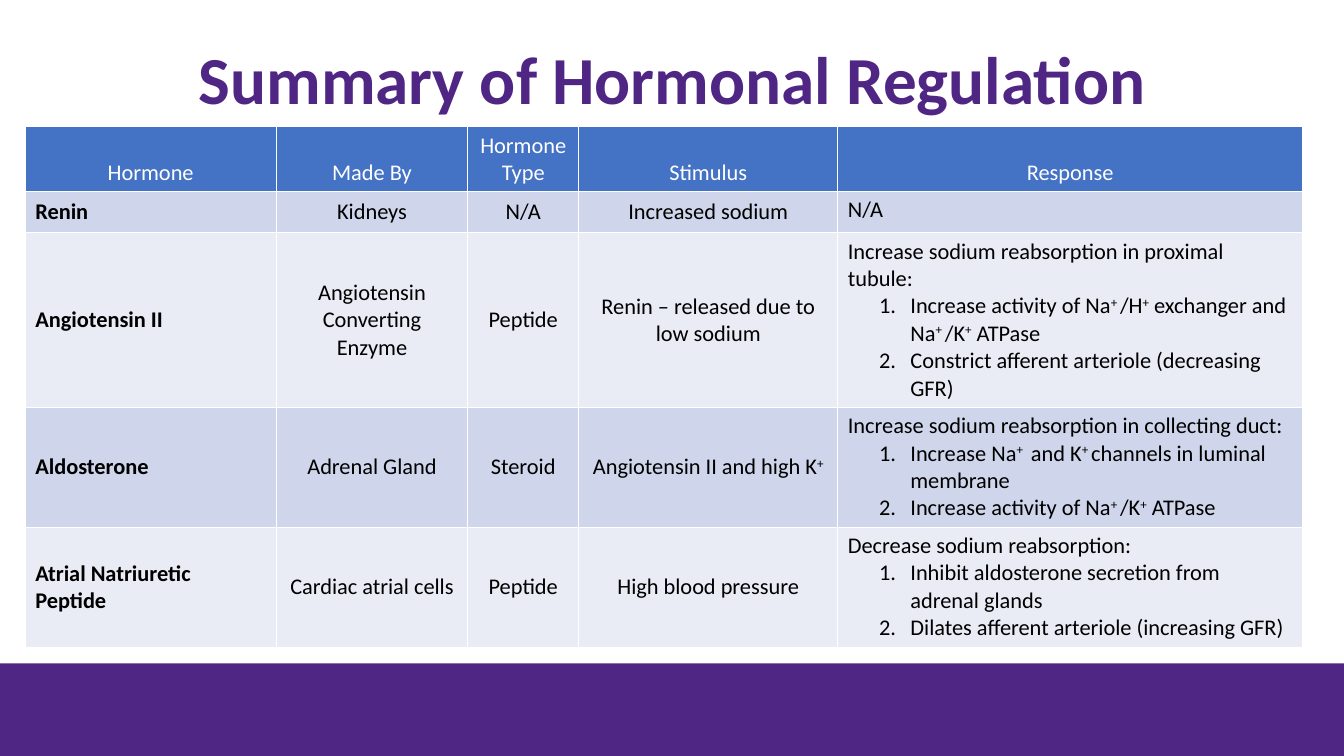
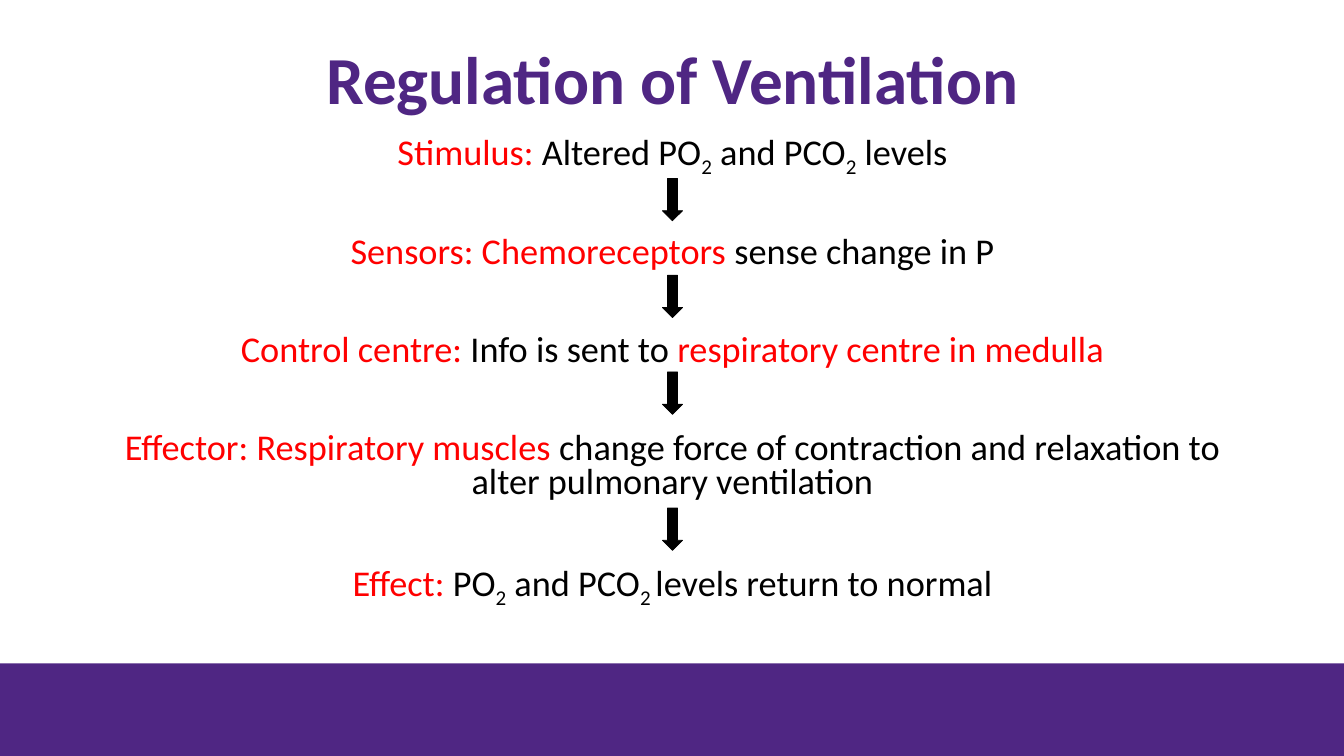
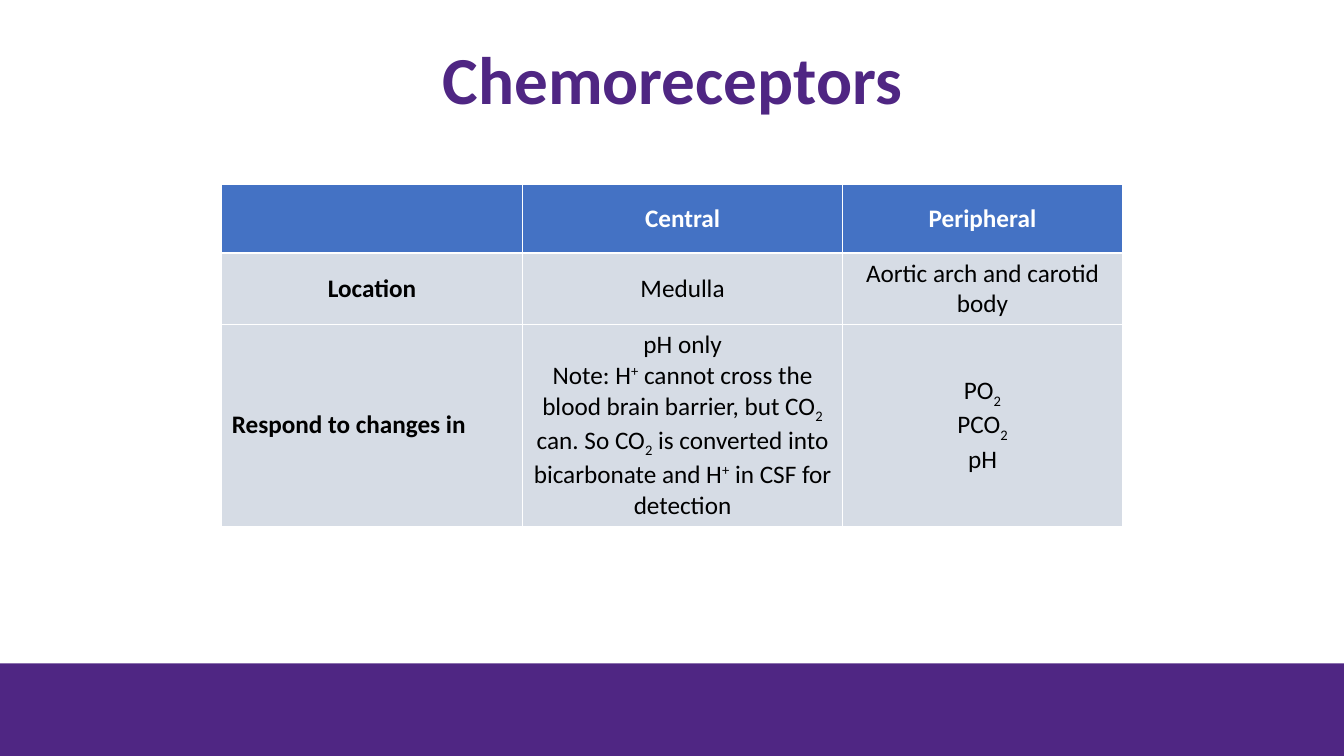
from itertools import groupby

from lxml.etree import SubElement
from pptx import Presentation
from pptx.dml.color import RGBColor
from pptx.enum.shapes import MSO_SHAPE as Shape
from pptx.enum.text import MSO_ANCHOR as Anchor, MSO_AUTO_SIZE as AutoSize, PP_ALIGN as Align
from pptx.oxml import parse_xml
from pptx.oxml.ns import nsdecls, qn
from pptx.util import Inches, Pt

FONT = "Calibri"
PURPLE, BLUE, RED = "4F2683", "4472C4", "FF0000"
BLACK, WHITE = "000000", "FFFFFF"
PALE_BLUE, PALER_BLUE, PALE_GREY = "CFD5EA", "E9EBF5", "D6DCE5"
SLIDE_WIDTH, SLIDE_HEIGHT, BAND_TOP = 13.33, 7.5, 6.58
BASELINES = {"^": "30000", "_": "-25000"}
RED_MARK = "*"
NUMBER_MARK = "# "

HORMONES = [
    ["Hormone", "Made By", "Hormone Type", "Stimulus", "Response"],
    ["Renin", "Kidneys", "N/A", "Increased sodium", "N/A"],
    ["Angiotensin II", "Angiotensin Converting Enzyme", "Peptide",
     "Renin – released due to low sodium",
     "Increase sodium reabsorption in proximal tubule:\n"
     "# Increase activity of Na^+ ^/H^+^ exchanger and Na^+ ^/K^+^ ATPase\n"
     "# Constrict afferent arteriole (decreasing GFR)"],
    ["Aldosterone", "Adrenal Gland", "Steroid", "Angiotensin II and high K^+^",
     "Increase sodium reabsorption in collecting duct:\n"
     "# Increase Na^+ ^ and K^+ ^channels in luminal membrane\n"
     "# Increase activity of Na^+ ^/K^+^ ATPase"],
    ["Atrial Natriuretic Peptide", "Cardiac atrial cells", "Peptide", "High blood pressure",
     "Decrease sodium reabsorption:\n"
     "# Inhibit aldosterone secretion from adrenal glands\n"
     "# Dilates afferent arteriole (increasing GFR)"],
]
VENTILATION_STEPS = [
    "*Stimulus:* Altered PO_2_ and PCO_2_ levels",
    "*Sensors: Chemoreceptors* sense change in P",
    "*Control centre: *Info is sent to *respiratory centre in medulla*",
    "*Effector: Respiratory muscles *change force of contraction and relaxation to "
    "alter pulmonary ventilation",
    "*Effect:* PO_2_ and PCO_2 _levels return to normal",
]
ARROW_TOPS = [1.77, 2.73, 3.69, 5.04]
CHEMORECEPTORS = [
    ["", "Central", "Peripheral"],
    ["Location", "Medulla", "Aortic arch and carotid body"],
    ["Respond to changes in",
     "pH only\nNote: H^+^ cannot cross the blood brain barrier, but CO_2_ can. "
     "So CO_2_ is converted into bicarbonate and H^+^ in CSF for detection",
     "PO_2_\nPCO_2_\npH"],
]


def rgb(color):
    return RGBColor.from_string(color)


def set_attributes(target, values):
    for name, value in values.items():
        setattr(target, name, value)


def write_text(paragraph, text, size, color=BLACK, bold=False):
    active = set()
    for is_mark, group in groupby(text, lambda letter: letter in "^_*"):
        letters = "".join(group)
        if is_mark:
            active ^= set(letters)
            continue
        run = paragraph.add_run()
        run.text = letters
        set_attributes(run.font, {"name": FONT, "size": Pt(size), "bold": bold})
        run.font.color.rgb = rgb(RED if RED_MARK in active else color)
        for mark in active & set(BASELINES):
            run.font._element.set("baseline", BASELINES[mark])


def add_number(paragraph):
    properties = paragraph._p.get_or_add_pPr()
    properties.set("marL", str(Inches(0.62)))
    properties.set("indent", str(-Inches(0.31)))
    SubElement(properties, qn("a:buFont"), typeface="+mj-lt")
    SubElement(properties, qn("a:buAutoNum"), type="arabicPeriod")


def add_filled_shape(slide, kind, left, top, width, height, color, outlined=False):
    shape = slide.shapes.add_shape(
        kind, Inches(left), Inches(top), Inches(width), Inches(height))
    shape.shadow.inherit = False
    shape.fill.solid()
    shape.fill.fore_color.rgb = rgb(color)
    if outlined:
        shape.line.color.rgb = rgb(color)
        shape.line.width = Pt(0.5)
    else:
        shape.line.fill.background()


def add_titled_slide(presentation, text):
    slide = presentation.slides.add_slide(presentation.slide_layouts[5])
    title = slide.shapes.title
    set_attributes(title, {"left": Inches(0.92), "top": Inches(0.22),
                           "width": Inches(11.5), "height": Inches(1.2)})
    set_attributes(title.text_frame, {"auto_size": AutoSize.NONE, "word_wrap": True,
                                      "vertical_anchor": Anchor.MIDDLE})
    paragraph = title.text_frame.paragraphs[0]
    set_attributes(paragraph, {"alignment": Align.CENTER, "line_spacing": 0.9})
    write_text(paragraph, text, 48, PURPLE, True)
    add_filled_shape(slide, Shape.RECTANGLE, 0, BAND_TOP,
                     SLIDE_WIDTH, SLIDE_HEIGHT - BAND_TOP, PURPLE)
    return slide


def add_cell_borders(cell):
    properties = cell._tc.get_or_add_tcPr()
    for index, side in enumerate(("lnL", "lnR", "lnT", "lnB")):
        properties.insert(index, parse_xml(
            f'<a:{side} {nsdecls("a")} w="{Pt(1)}"><a:solidFill>'
            f'<a:srgbClr val="{WHITE}"/></a:solidFill></a:{side}>'))


def fill_cell(cell, text, fill, anchor, alignment, size, color, bold):
    cell.fill.solid()
    cell.fill.fore_color.rgb = rgb(fill)
    cell.vertical_anchor = anchor
    add_cell_borders(cell)
    frame = cell.text_frame
    for index, line in enumerate(text.split("\n")):
        paragraph = frame.add_paragraph() if index else frame.paragraphs[0]
        paragraph.alignment = alignment
        if line.startswith(NUMBER_MARK):
            add_number(paragraph)
        write_text(paragraph, line.removeprefix(NUMBER_MARK), size, color, bold)


def add_grid(slide, rows, left, top, widths, heights, style_cell):
    table = slide.shapes.add_table(
        len(rows), len(widths), Inches(left), Inches(top),
        Inches(sum(widths)), Inches(sum(heights))).table
    for column, width in zip(table.columns, widths):
        column.width = Inches(width)
    for row, height in zip(table.rows, heights):
        row.height = Inches(height)
    for row_index, texts in enumerate(rows):
        for column_index, text in enumerate(texts):
            fill_cell(table.cell(row_index, column_index), text,
                      **style_cell(row_index, column_index))


def style_hormone_cell(row, column):
    style = {"fill": PALE_BLUE if row % 2 else PALER_BLUE, "anchor": Anchor.MIDDLE,
             "alignment": Align.CENTER, "size": 16, "color": BLACK, "bold": False}
    if row == 0:
        style.update(fill=BLUE, anchor=Anchor.BOTTOM, color=WHITE)
    elif column == 0:
        style.update(alignment=Align.LEFT, bold=True)
    elif column == 4:
        style.update(alignment=Align.LEFT, anchor=Anchor.TOP)
    return style


def style_chemoreceptor_cell(row, column):
    return {"fill": PALE_GREY if row else BLUE, "anchor": Anchor.MIDDLE,
            "alignment": Align.LEFT if (row, column) == (2, 0) else Align.CENTER,
            "size": 18, "color": BLACK if row else WHITE,
            "bold": row == 0 or column == 0}


def add_steps(slide, steps):
    box = slide.shapes.add_textbox(Inches(0.92), Inches(1.28), Inches(11.5), Inches(4.83))
    frame = box.text_frame
    frame.word_wrap = True
    for index, step in enumerate(steps):
        paragraph = frame.add_paragraph() if index else frame.paragraphs[0]
        set_attributes(paragraph, {"alignment": Align.CENTER, "line_spacing": 0.8,
                                   "space_before": Pt(45 if index else 0)})
        write_text(paragraph, step, 25.9)


def main():
    presentation = Presentation()
    set_attributes(presentation, {"slide_width": Inches(SLIDE_WIDTH),
                                  "slide_height": Inches(SLIDE_HEIGHT)})

    slide = add_titled_slide(presentation, "Summary of Hormonal Regulation")
    add_grid(slide, HORMONES, 0.25, 1.25, [2.49, 1.9, 1.1, 2.57, 4.61],
             [0.65, 0.41, 1.73, 1.19, 1.19], style_hormone_cell)

    slide = add_titled_slide(presentation, "Regulation of Ventilation")
    add_steps(slide, VENTILATION_STEPS)
    for top in ARROW_TOPS:
        add_filled_shape(slide, Shape.DOWN_ARROW, 6.57, top, 0.2, 0.42, BLACK, True)

    slide = add_titled_slide(presentation, "Chemoreceptors")
    add_grid(slide, CHEMORECEPTORS, 2.2, 1.83, [2.98, 3.18, 2.77],
             [0.68, 0.71, 1.99], style_chemoreceptor_cell)

    presentation.save("out.pptx")


if __name__ == "__main__":
    main()
